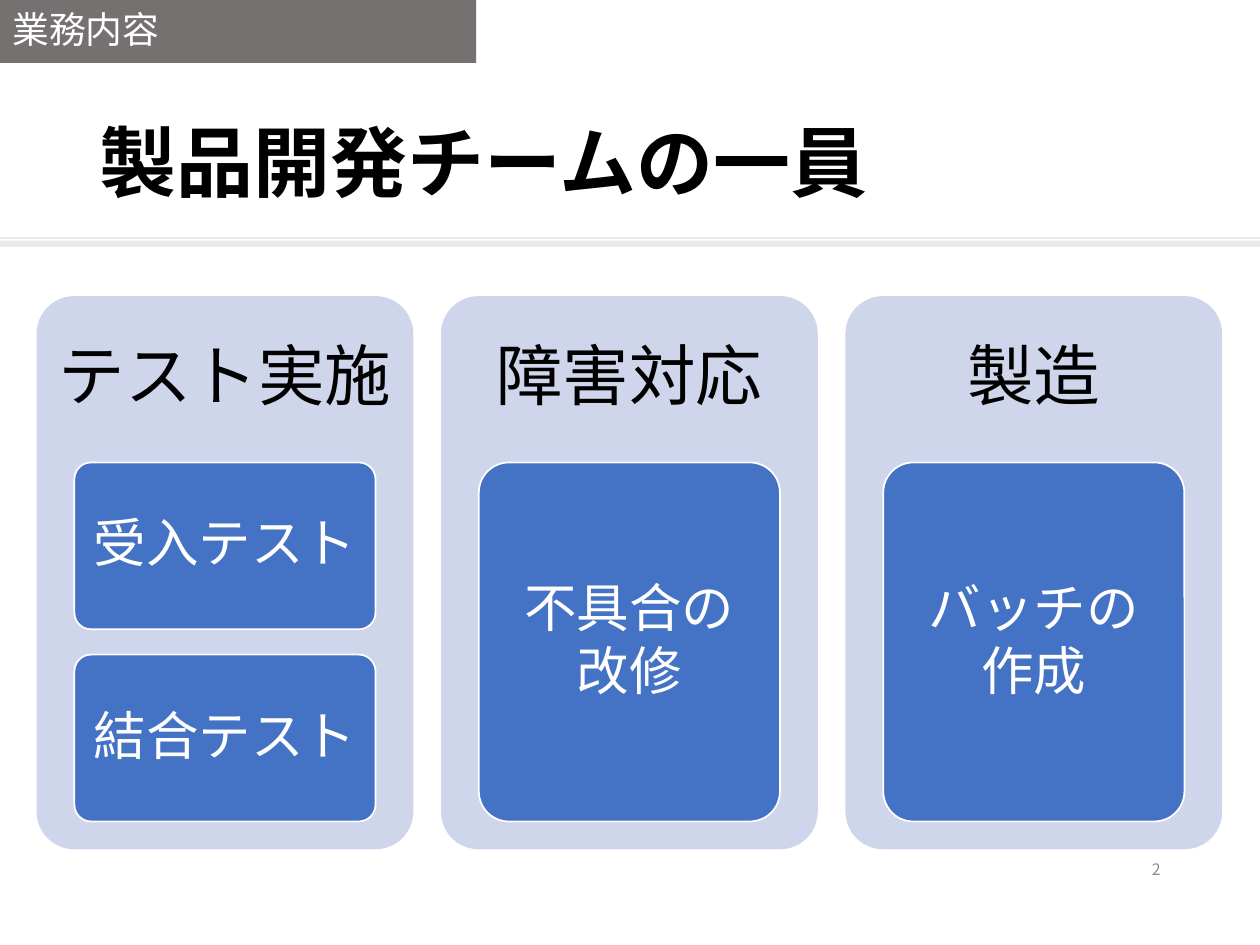
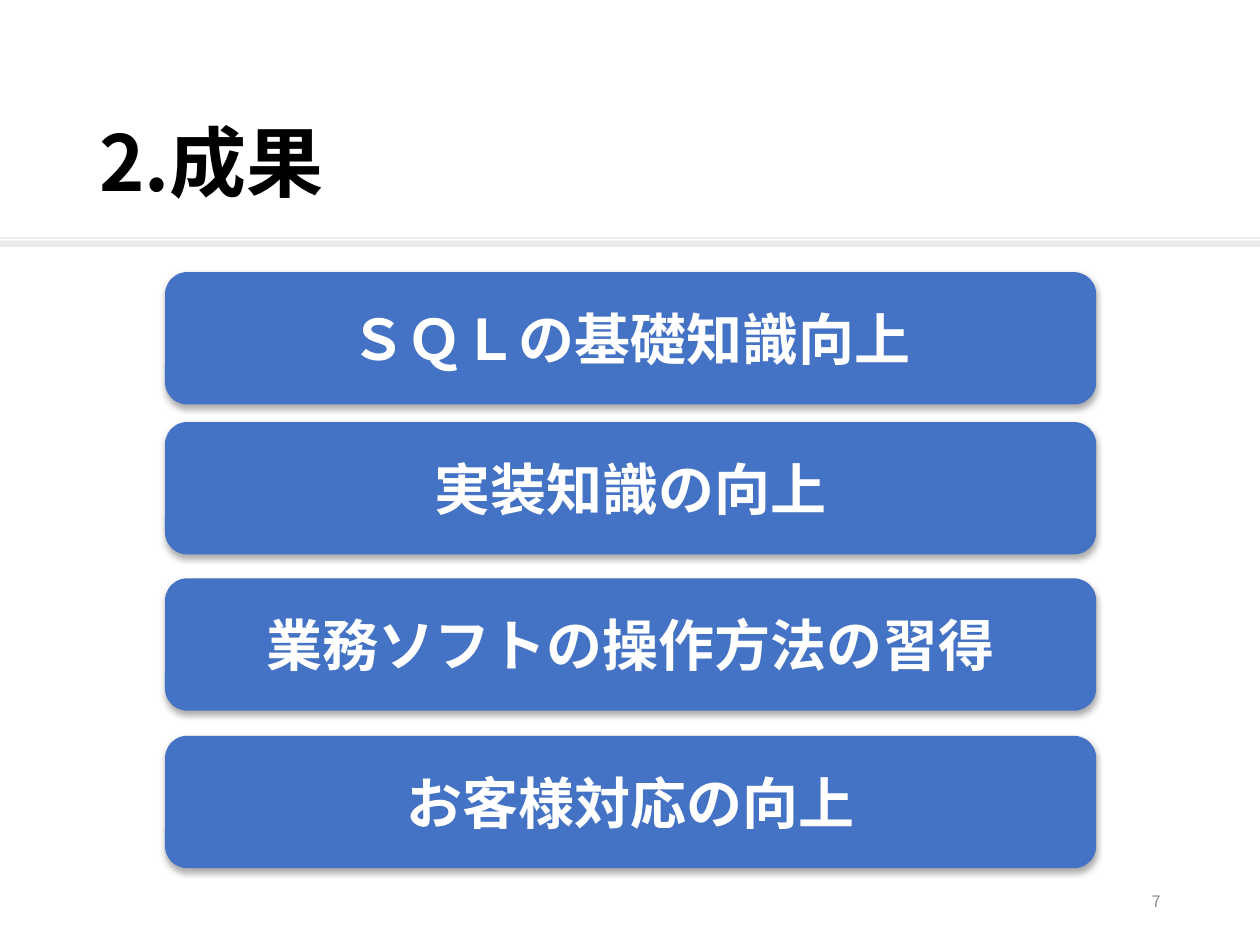
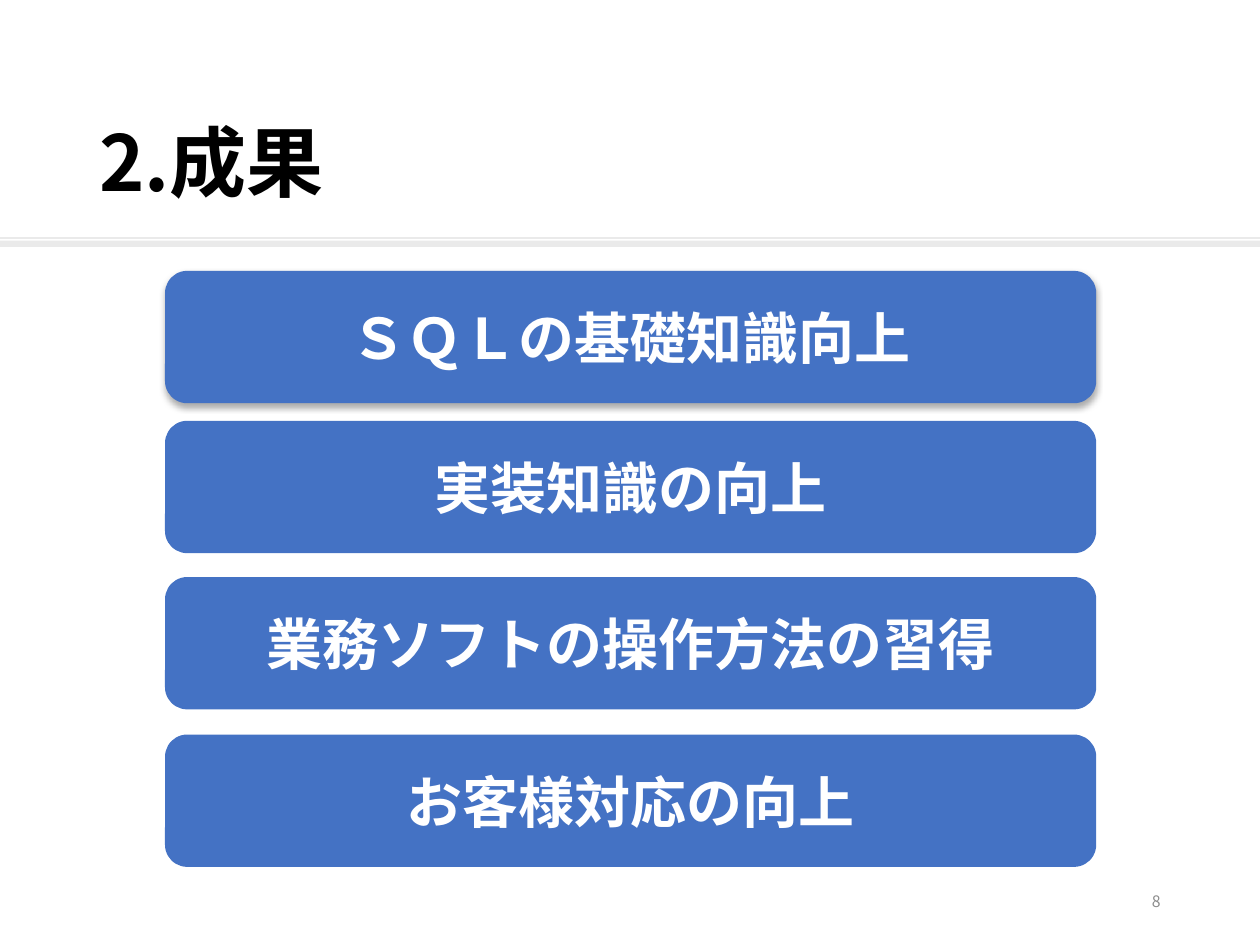
from lxml import etree
from pptx import Presentation
from pptx.dml.color import RGBColor
from pptx.enum.shapes import MSO_CONNECTOR, MSO_SHAPE
from pptx.enum.text import MSO_ANCHOR, PP_ALIGN
from pptx.oxml.ns import qn
from pptx.util import Inches, Pt

RECT, ROUND = MSO_SHAPE.RECTANGLE, MSO_SHAPE.ROUNDED_RECTANGLE
LINE = MSO_CONNECTOR.STRAIGHT
MIDDLE = MSO_ANCHOR.MIDDLE
LEFT, CENTER, RIGHT = PP_ALIGN.LEFT, PP_ALIGN.CENTER, PP_ALIGN.RIGHT

FONT = "Noto Sans CJK JP"
BLACK, WHITE, BLUE = "000000", "FFFFFF", "4472C4"
PALE, RULE, BAND, GRAY = "CFD5EA", "EAEAEA", "767171", "8C8C8C"

TASKS = [
    ("テスト実施", ["受入テスト", "結合テスト"]),
    ("障害対応", ["不具合の\n改修"]),
    ("製造", ["バッチの\n作成"]),
]
GAINS = ["ＳＱＬの基礎知識向上", "実装知識の向上",
         "業務ソフトの操作方法の習得", "お客様対応の向上"]
STEPS = [0, 1.19, 2.43, 3.68]


def color(code):
    return RGBColor.from_string(code)


def inches(box):
    return [Inches(n) for n in box]


def write(shape, text, size, code, align=LEFT, bold=False,
          pad=(0.1, 0.05), lead=None, after=None):
    frame = shape.text_frame
    frame.text = text
    frame.word_wrap = True
    frame.vertical_anchor = MIDDLE
    frame.margin_left = frame.margin_right = Inches(pad[0])
    frame.margin_top = frame.margin_bottom = Inches(pad[1])
    for para in frame.paragraphs:
        para.alignment = align
        if lead:
            para.line_spacing = lead
        if after:
            para.space_after = Pt(after)
        for run in para.runs:
            font = run.font
            font.name, font.size, font.bold = FONT, Pt(size), bold
            font.color.rgb = color(code)
            east = etree.SubElement(run._r.get_or_add_rPr(), qn("a:ea"))
            east.set("typeface", FONT)


def add_text(slide, box, text, size, code, **style):
    write(slide.shapes.add_textbox(*inches(box)), text, size, code, **style)


def add_block(slide, kind, box, fill, edge=None, adj=None):
    shape = slide.shapes.add_shape(kind, *inches(box))
    shape.shadow.inherit = False
    shape.fill.solid()
    shape.fill.fore_color.rgb = color(fill)
    if edge:
        shape.line.color.rgb = color(edge)
        shape.line.width = Pt(1)
    else:
        shape.line.fill.background()
    if adj:
        shape.adjustments[0] = adj
    return shape


def add_shade(shape):
    effects = shape._element.spPr.find(qn("a:effectLst"))
    shade = etree.SubElement(effects, qn("a:outerShdw"), blurRad=str(Pt(3.5)),
                             dist=str(Pt(2.2)), dir="5400000", rotWithShape="0")
    tint = etree.SubElement(shade, qn("a:srgbClr"), val=BLACK)
    etree.SubElement(tint, qn("a:alpha"), val="32000")


def add_page(deck, title, number, foot=6.95):
    slide = deck.slides.add_slide(deck.slide_layouts[6])
    rule = slide.shapes.add_connector(LINE, *inches((0, 1.89, 10, 1.89)))
    rule.line.color.rgb = color(RULE)
    rule.line.width = Pt(0.75)
    etree.SubElement(rule._element.spPr, qn("a:effectLst"))
    add_block(slide, RECT, (0, 1.91, 10, 0.05), RULE)
    add_text(slide, (0.69, 0.79, 8.62, 1.06), title, 44, BLACK,
             bold=True, lead=0.9)
    add_text(slide, (7.06, foot, 2.25, 0.4), str(number), 9, GRAY, align=RIGHT)
    return slide


def add_label(slide, box, text):
    write(add_block(slide, RECT, box, BAND), text, 21, WHITE, lead=0.9)


def add_column(slide, box, head, items):
    left, top, width, height = box
    add_block(slide, ROUND, box, PALE, adj=0.1)
    add_text(slide, (left, top, width, 1.32), head, 38, BLACK, align=CENTER,
             pad=(0.16, 0.16), lead=0.9)
    gap = 0.2
    tall = (height - 1.54 - gap * (len(items) - 1)) / len(items)
    for i, item in enumerate(items):
        spot = (left + 0.3, top + 1.32 + i * (tall + gap), width - 0.6, tall)
        tile = add_block(slide, ROUND, spot, BLUE, WHITE, 0.1)
        write(tile, item, 30, WHITE, align=CENTER, pad=(0.08, 0.06),
              lead=0.9, after=4)


def add_bars(slide, box, shaded):
    left, top, width, height = box
    for i, (step, gain) in enumerate(zip(STEPS, GAINS)):
        bar = add_block(slide, ROUND, (left, top + step, width, height), BLUE)
        if i < shaded:
            add_shade(bar)
        write(bar, gain, 32, WHITE, align=CENTER, bold=True)


def main():
    deck = Presentation()
    deck.slide_width, deck.slide_height = Inches(10), Inches(7.5)
    slide = add_page(deck, "製品開発チームの一員", 2, foot=6.7)
    add_label(slide, (0, 0, 3.78, 0.5), "業務内容")
    for i, (head, items) in enumerate(TASKS):
        add_column(slide, (0.29 + i * 3.21, 2.35, 2.99, 4.39), head, items)
    for number, top, shaded in [(7, 2.16, len(GAINS)), (8, 2.15, 1)]:
        slide = add_page(deck, "2.成果", number)
        add_bars(slide, (1.31, top, 7.39, 1.05), shaded)
    deck.save("out.pptx")


if __name__ == "__main__":
    main()
